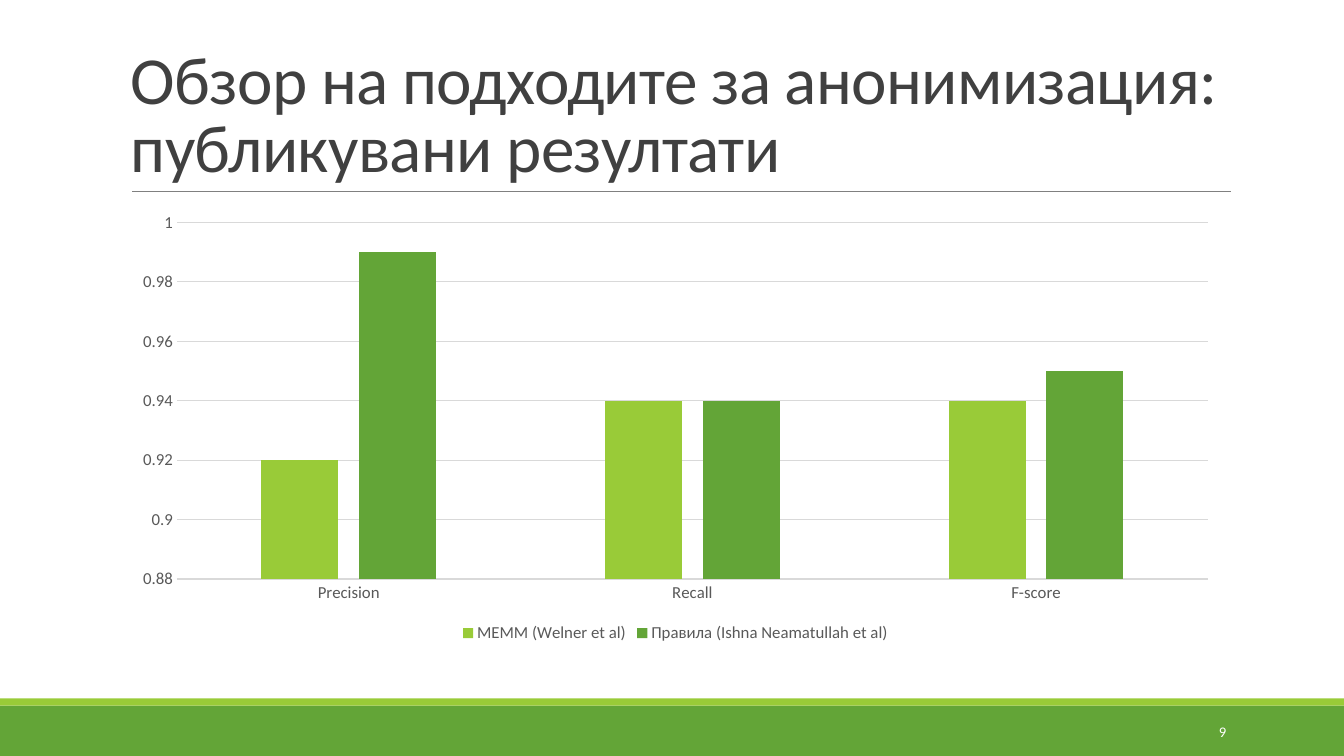
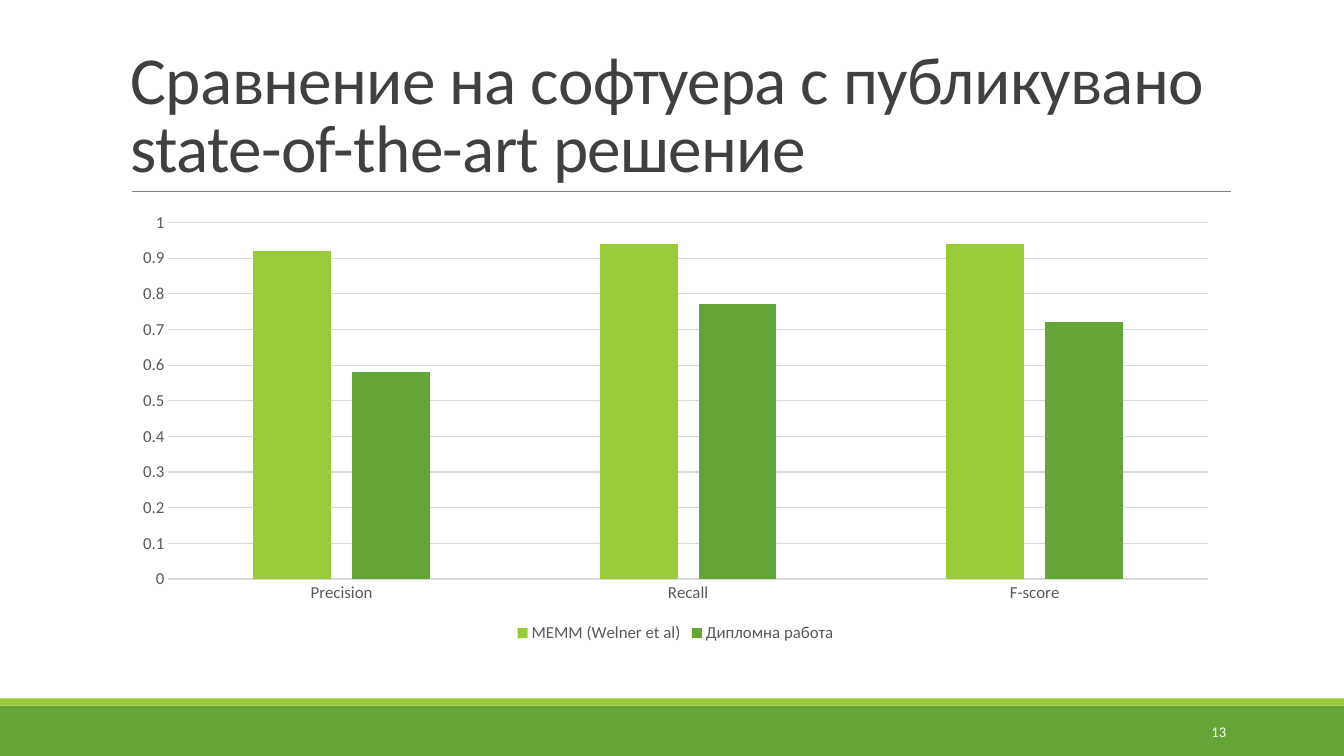
from pptx import Presentation
from pptx.chart.data import CategoryChartData
from pptx.dml.color import RGBColor
from pptx.enum.chart import XL_CHART_TYPE, XL_LEGEND_POSITION, XL_TICK_MARK
from pptx.enum.shapes import MSO_CONNECTOR, MSO_SHAPE
from pptx.enum.text import MSO_ANCHOR, PP_ALIGN
from pptx.oxml.ns import qn
from pptx.util import Inches, Pt
from lxml import etree

COLUMN_CLUSTERED = XL_CHART_TYPE.COLUMN_CLUSTERED
LEGEND_BOTTOM = XL_LEGEND_POSITION.BOTTOM
NO_TICK = XL_TICK_MARK.NONE
STRAIGHT = MSO_CONNECTOR.STRAIGHT
RECTANGLE = MSO_SHAPE.RECTANGLE
BOTTOM, MIDDLE = MSO_ANCHOR.BOTTOM, MSO_ANCHOR.MIDDLE
LEFT, RIGHT = PP_ALIGN.LEFT, PP_ALIGN.RIGHT

# Shared style
FONT = "Calibri"
LIME, GREEN = "99CB38", "63A537"
TITLE_COLOR, LABEL_COLOR = "404040", "595959"
RULE_COLOR, GRID_COLOR, WHITE = "808080", "D9D9D9", "FFFFFF"
WIDTH, HEIGHT = 13.33, 7.5
BANDS = [(7, 0.5, GREEN), (6.93, 0.07, LIME)]  # top, height, colour
CONTENT_LEFT, CONTENT_WIDTH = 1.2, 11

# Content
CATEGORIES = ["Precision", "Recall", "F-score"]
MEMM = ("MEMM (Welner et al)", [0.92, 0.94, 0.94])
SLIDES = [
    {
        "title": "Обзор на подходите за анонимизация:\nпубликувани резултати",
        "number": 9,
        "series": [MEMM, ("Правила (Ishna Neamatullah et al)", [0.99, 0.94, 0.95])],
        "scale": (0.88, 1, 0.02),  # minimum, maximum, step
    },
    {
        "title": "Сравнение на софтуера с публикувано state-of-the-art решение",
        "number": 13,
        "series": [MEMM, ("Дипломна работа", [0.58, 0.77, 0.72])],
        "scale": (0, 1, 0.1),
    },
]


def color(value):
    return RGBColor.from_string(value)


def style_font(font, size, font_color):
    font.name = FONT
    font.size = Pt(size)
    font.color.rgb = color(font_color)


def style_line(line, line_color, width):
    line.color.rgb = color(line_color)
    line.width = Pt(width)


def add_text(slide, box, text, size, font_color, anchor, align):
    shape = slide.shapes.add_textbox(*map(Inches, box))
    frame = shape.text_frame
    frame.word_wrap = True
    frame.vertical_anchor = anchor
    paragraph = frame.paragraphs[0]
    paragraph.text = text
    paragraph.alignment = align
    for run in paragraph.runs:
        style_font(run.font, size, font_color)
    return paragraph


def add_frame(slide, title, number):
    # Footer bands
    for top, height, fill in BANDS:
        band = slide.shapes.add_shape(
            RECTANGLE, 0, Inches(top), Inches(WIDTH), Inches(height))
        band.shadow.inherit = False
        band.fill.solid()
        band.fill.fore_color.rgb = color(fill)
        band.line.fill.background()

    # Rule under the title
    rule = slide.shapes.add_connector(
        STRAIGHT, Inches(1.31), Inches(1.9), Inches(12.21), Inches(1.9))
    style_line(rule.line, RULE_COLOR, 0.5)
    etree.SubElement(rule._element.spPr, qn("a:effectLst"))

    # Title and slide number
    heading = add_text(slide, (CONTENT_LEFT, 0.31, CONTENT_WIDTH, 1.59),
                       title, 48, TITLE_COLOR, BOTTOM, LEFT)
    heading.line_spacing = 0.85
    for run in heading.runs:
        run._r.get_or_add_rPr().set("spc", "-50")
    add_text(slide, (10.83, 7.06, 1.43, 0.4),
             str(number), 10.5, WHITE, MIDDLE, RIGHT)


def add_results_chart(slide, series_list, scale):
    data = CategoryChartData()
    data.categories = CATEGORIES
    for name, values in series_list:
        data.add_series(name, values)
    box = (CONTENT_LEFT, 2.02, CONTENT_WIDTH, 4.4)
    chart = slide.shapes.add_chart(
        COLUMN_CLUSTERED, *map(Inches, box), data).chart
    style_font(chart.font, 12, LABEL_COLOR)
    chart.has_title = False

    # Columns
    plot = chart.plots[0]
    plot.gap_width = 219
    plot.overlap = -27
    plot.vary_by_categories = False
    for series, fill in zip(plot.series, (LIME, GREEN)):
        series.format.fill.solid()
        series.format.fill.fore_color.rgb = color(fill)

    # Axes
    category_axis, value_axis = chart.category_axis, chart.value_axis
    for axis in (category_axis, value_axis):
        axis.major_tick_mark = axis.minor_tick_mark = NO_TICK
        style_font(axis.tick_labels.font, 12, LABEL_COLOR)
    style_line(category_axis.format.line, GRID_COLOR, 0.75)
    value_axis.format.line.fill.background()
    style_line(value_axis.major_gridlines.format.line, GRID_COLOR, 0.75)
    value_axis.minimum_scale, value_axis.maximum_scale, value_axis.major_unit = scale

    # Legend
    chart.has_legend = True
    chart.legend.position = LEGEND_BOTTOM
    chart.legend.include_in_layout = False
    style_font(chart.legend.font, 12, LABEL_COLOR)


def main():
    presentation = Presentation()
    presentation.slide_width = Inches(WIDTH)
    presentation.slide_height = Inches(HEIGHT)
    blank = presentation.slide_layouts[6]
    for content in SLIDES:
        slide = presentation.slides.add_slide(blank)
        add_frame(slide, content["title"], content["number"])
        add_results_chart(slide, content["series"], content["scale"])
    presentation.save("out.pptx")


if __name__ == "__main__":
    main()
